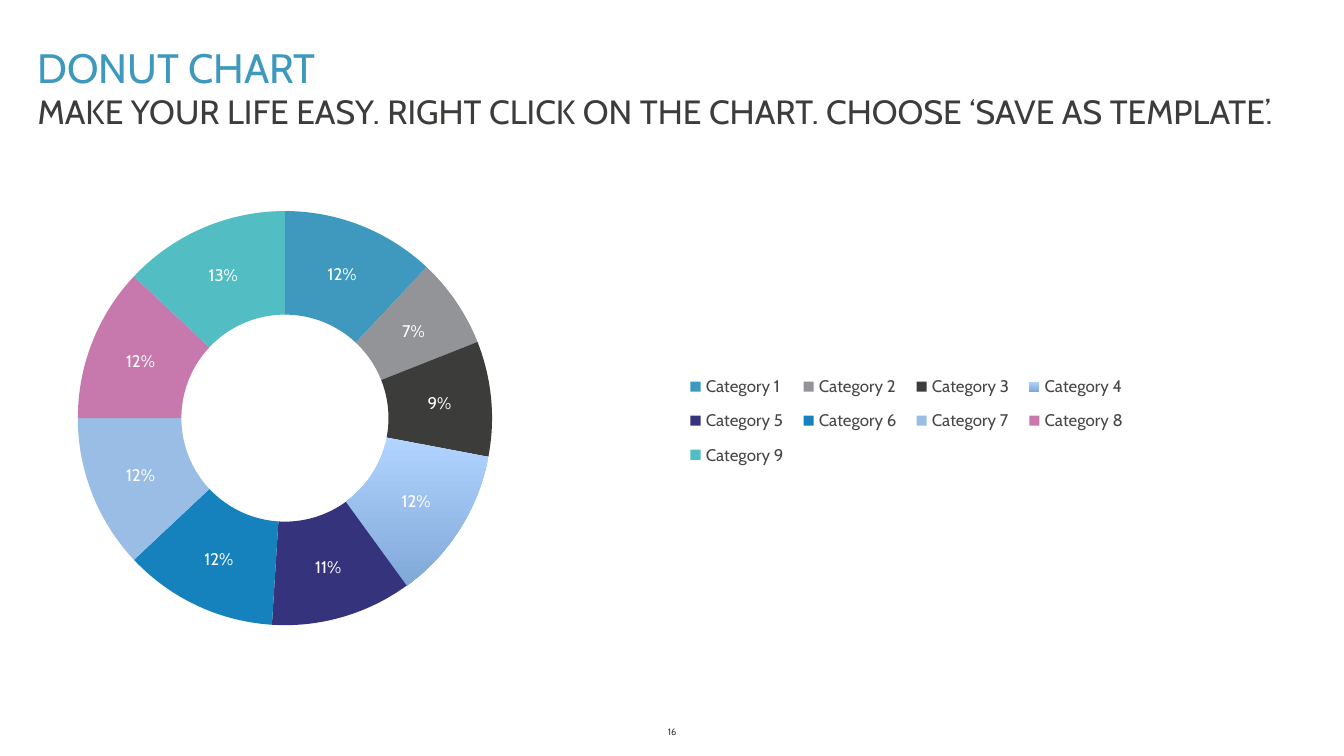
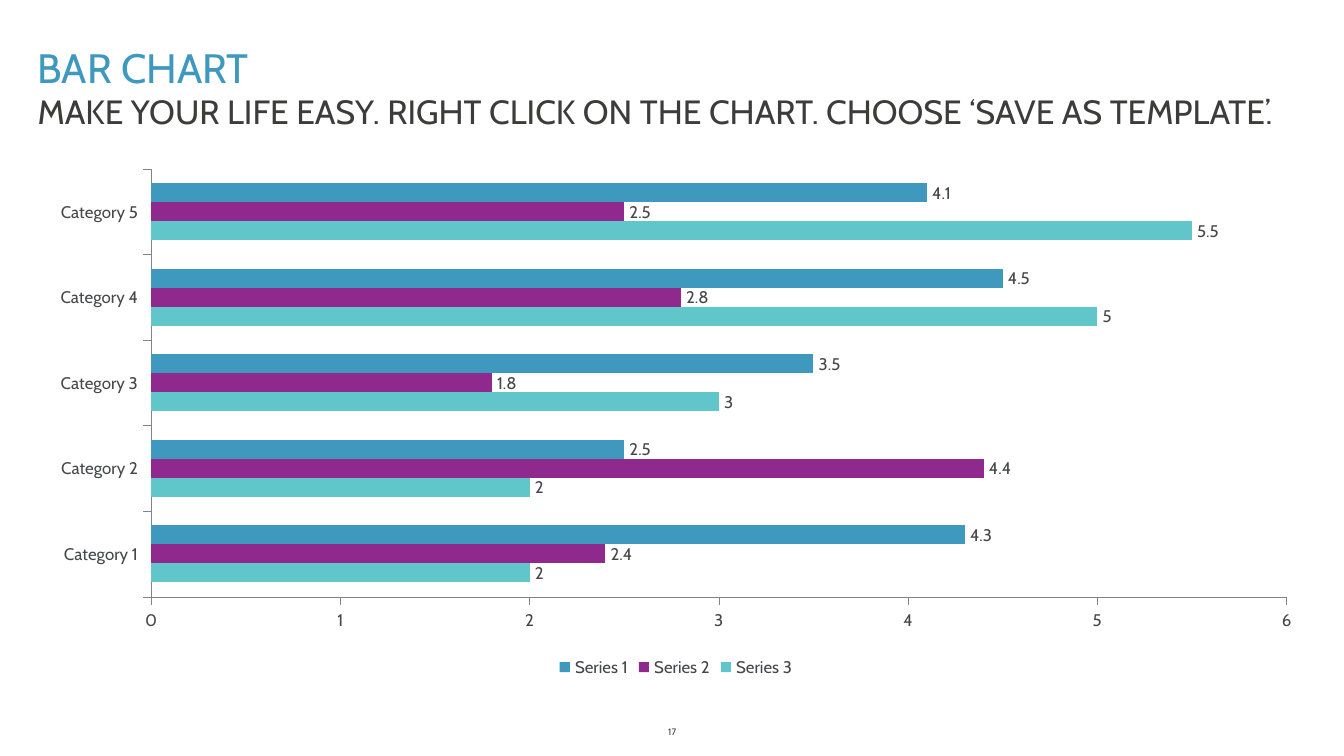
from lxml import etree
from pptx import Presentation
from pptx.chart.data import CategoryChartData
from pptx.dml.color import RGBColor
from pptx.enum.chart import (XL_CHART_TYPE as CT, XL_LABEL_POSITION as LP,
                             XL_LEGEND_POSITION as LEG, XL_TICK_MARK as TICK)
from pptx.enum.text import MSO_ANCHOR as ANCHOR, PP_ALIGN as ALIGN
from pptx.oxml.ns import qn
from pptx.util import Cm, Pt

# Shared style
FONT = "Cabin"
BLUE, DARK, GREY, AXIS = "3F98BD", "3C3C3B", "464749", "818386"
SUBTITLE = ("MAKE YOUR LIFE EASY. RIGHT CLICK ON THE CHART. "
            "CHOOSE ‘SAVE AS TEMPLATE’.")
CHART_BOX = (0.66, 3, 24.23, 9.91)

# Chart content
SHARES = [12, 7, 9, 12, 11, 12, 12, 12, 13]
SLICE_COLOURS = [BLUE, "929497", DARK, ("B1D5FF", "80A8D8"), "36337D",
                 "1582BE", "99BDE4", "C778AD", "52BDC2"]
BARS = {
    "Series 3": ([2, 2, 3, 5, 5.5], "60C6CA"),
    "Series 2": ([2.4, 4.4, 1.8, 2.8, 2.5], "90298D"),
    "Series 1": ([4.3, 2.5, 3.5, 4.5, 4.1], BLUE),
}


def rgb(value):
    return RGBColor.from_string(value)


def style_font(font, size, colour):
    font.name, font.size = FONT, Pt(size)
    font.color.rgb = rgb(colour)


def fill_with(fill, colour):
    """Fill with one colour, or with a (top, bottom) gradient."""
    if isinstance(colour, str):
        fill.solid()
        fill.fore_color.rgb = rgb(colour)
        return
    fill.gradient()
    fill.gradient_angle = 270
    for stop, value in zip(fill.gradient_stops, colour):
        stop.color.rgb = rgb(value)


def add_text(s, box, text, size, colour, anchor=ANCHOR.TOP, align=ALIGN.LEFT):
    tf = s.shapes.add_textbox(*map(Cm, box)).text_frame
    tf.word_wrap = True
    tf.vertical_anchor = anchor
    p = tf.paragraphs[0]
    p.text = text
    p.alignment = align
    style_font(p.runs[0].font, size, colour)


def add_slide(prs, title, number):
    s = prs.slides.add_slide(prs.slide_layouts[6])
    add_text(s, (0.46, 0.66, 24.31, 1.19), title, 22, BLUE, ANCHOR.BOTTOM)
    add_text(s, (0.46, 1.6, 24.31, 1.02), SUBTITLE, 18, DARK)
    add_text(s, (11.51, 13.59, 2.39, 0.48), str(number), 5, DARK,
             ANCHOR.MIDDLE, ALIGN.CENTER)
    return s


def add_chart(s, kind, series, legend_position):
    data = CategoryChartData()
    count = len(next(iter(series.values())))
    data.categories = [f"Category {i + 1}" for i in range(count)]
    for name, values in series.items():
        data.add_series(name, values)
    chart = s.shapes.add_chart(kind, *map(Cm, CHART_BOX), data).chart
    chart.has_title = False
    style_font(chart.font, 9, GREY)
    chart.has_legend = True
    chart.legend.position = legend_position
    chart.legend.include_in_layout = False
    return chart


def set_layout(parent, index, x, y, w, h, inner=False):
    """Place a chart part by fractions of the chart area."""
    for old in parent.findall(qn("c:layout")):
        parent.remove(old)
    layout = etree.Element(qn("c:layout"))
    manual = etree.SubElement(layout, qn("c:manualLayout"))
    settings = [("layoutTarget", "inner")] if inner else []
    settings += [("xMode", "edge"), ("yMode", "edge"),
                 ("x", x), ("y", y), ("w", w), ("h", h)]
    for tag, value in settings:
        etree.SubElement(manual, qn(f"c:{tag}")).set("val", str(value))
    parent.insert(index, layout)


def style_axis(axis):
    axis.has_major_gridlines = False
    axis.major_tick_mark = TICK.OUTSIDE
    axis.minor_tick_mark = TICK.NONE
    axis.format.line.color.rgb = rgb(AXIS)
    axis.format.line.width = Pt(0.25)


def add_donut(s):
    chart = add_chart(s, CT.DOUGHNUT, {"Series 1": SHARES}, LEG.RIGHT)
    plot_area = chart.plots[0]._element.getparent()
    set_layout(plot_area, 0, 0.03, 0.1, 0.33, 0.79, inner=True)
    set_layout(chart.legend._element, 1, 0.5, 0.39, 0.36, 0.22)
    chart.plots[0].vary_by_categories = True
    series = chart.plots[0].series[0]
    for i, colour in enumerate(SLICE_COLOURS):
        fmt = series.points[i].format
        fill_with(fmt.fill, colour)
        fmt.line.fill.background()
    labels = series.data_labels
    labels.show_value = False
    labels.show_percentage = True
    labels.number_format = "0%"
    labels.number_format_is_linked = False
    style_font(labels.font, 9, "FFFFFF")


def add_bars(s):
    values = {name: vals for name, (vals, _) in BARS.items()}
    chart = add_chart(s, CT.BAR_CLUSTERED, values, LEG.BOTTOM)
    plot = chart.plots[0]
    plot.vary_by_categories = False
    plot.gap_width, plot.overlap = 150, 0
    for series, (_, colour) in zip(plot.series, BARS.values()):
        fill_with(series.format.fill, colour)
        series.data_labels.show_value = True
        series.data_labels.position = LP.OUTSIDE_END
        style_font(series.data_labels.font, 9, GREY)
    for axis in (chart.category_axis, chart.value_axis):
        style_axis(axis)
    axis = chart.value_axis
    axis.minimum_scale, axis.maximum_scale, axis.major_unit = 0, 6, 1


def main():
    prs = Presentation()
    prs.slide_width, prs.slide_height = Cm(25.4), Cm(14.29)
    add_donut(add_slide(prs, "DONUT CHART", 16))
    add_bars(add_slide(prs, "BAR CHART", 17))
    prs.save("out.pptx")


if __name__ == "__main__":
    main()
